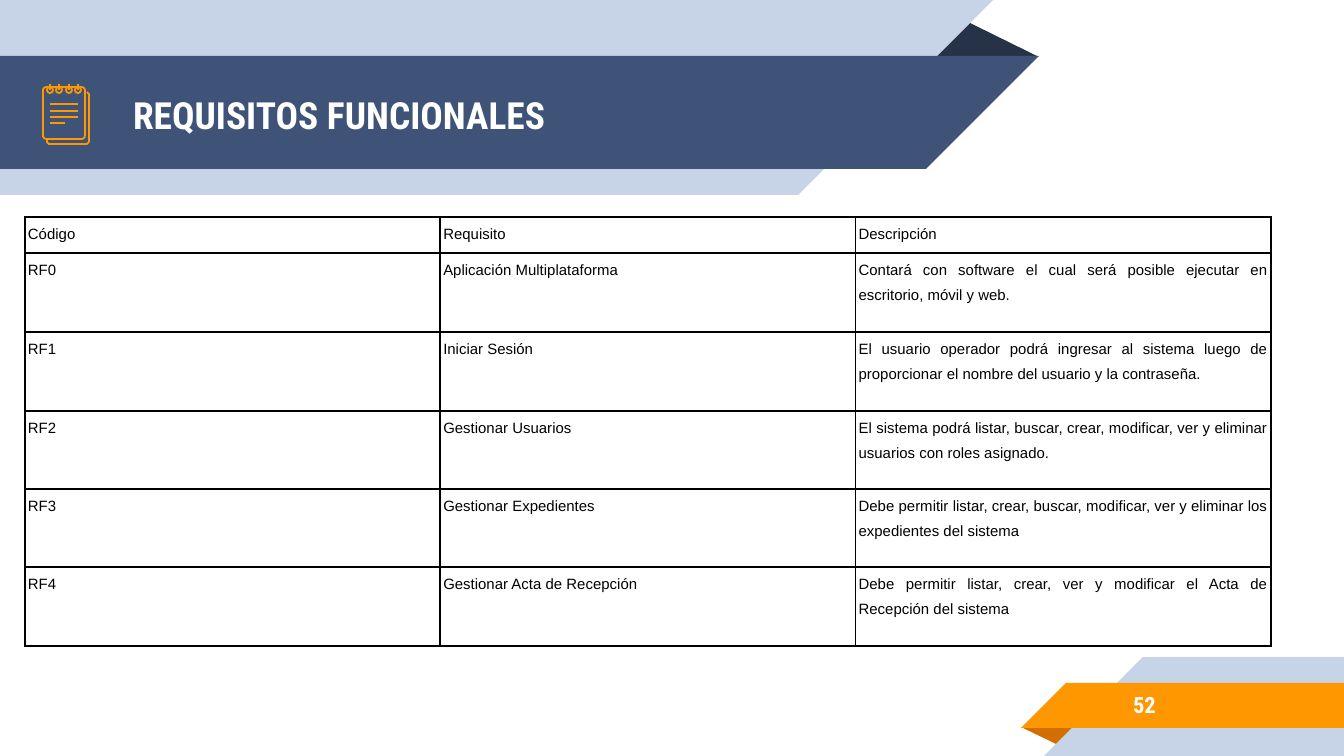
import pptx
import pptx.dml.color
import pptx.enum.shapes
import pptx.enum.text
import pptx.oxml
import pptx.oxml.ns
import pptx.util

PX = 9144000 / 1344  # EMU per px
RGB = pptx.dml.color.RGBColor
SHAPE = pptx.enum.shapes.MSO_SHAPE
ALIGN = pptx.enum.text.PP_ALIGN
ANCHOR = pptx.enum.text.MSO_ANCHOR

PALE_BLUE = RGB(0xC7, 0xD3, 0xE6)
BLUE = RGB(0x3F, 0x53, 0x78)
NAVY = RGB(0x26, 0x32, 0x48)
ORANGE = RGB(0xFF, 0x98, 0x00)
DARK_ORANGE = RGB(0xD2, 0x6F, 0x00)
WHITE = RGB(0xFF, 0xFF, 0xFF)
BLACK = RGB(0x00, 0x00, 0x00)
ICON_LINE = pptx.util.Pt(0.96)


def px(*lengths):
    return [round(length * PX) for length in lengths]


def write(frame, text, *, font, size, color, bold=False, align=ALIGN.LEFT,
          spacing=1.0, margins=(13, 13, 13, 13), anchor=ANCHOR.MIDDLE):
    frame.word_wrap = True
    frame.vertical_anchor = anchor
    (frame.margin_left, frame.margin_top,
     frame.margin_right, frame.margin_bottom) = px(*margins)
    frame.text = text
    paragraph = frame.paragraphs[0]
    paragraph.alignment = align
    paragraph.line_spacing = spacing
    paragraph.font.name = font
    paragraph.font.size = pptx.util.Pt(size)
    paragraph.font.bold = bold
    paragraph.font.color.rgb = color


presentation = pptx.Presentation()
presentation.slide_width, presentation.slide_height = px(1344, 756)
slide = presentation.slides.add_slide(presentation.slide_layouts[5])
shapes = slide.shapes

# Ribbons at the top left and bottom right, each with its fold behind
ribbons = [
    (SHAPE.ISOSCELES_TRIANGLE, (925, 19, 114, 38), 0, NAVY),
    (SHAPE.RECTANGLE, (0, 0, 798, 195), 0, PALE_BLUE),
    (SHAPE.RIGHT_TRIANGLE, (798, 0, 195, 195), 90, PALE_BLUE),
    (SHAPE.RECTANGLE, (0, 56, 926, 113), 0, BLUE),
    (SHAPE.RIGHT_TRIANGLE, (926, 56, 113, 113), 90, BLUE),
    (SHAPE.ISOSCELES_TRIANGLE, (1021, 727, 58, 19), 180, DARK_ORANGE),
    (SHAPE.RECTANGLE, (1143, 657, 201, 99), 0, PALE_BLUE),
    (SHAPE.RIGHT_TRIANGLE, (1044, 657, 99, 99), 270, PALE_BLUE),
    (SHAPE.RECTANGLE, (1066, 683, 278, 45), 0, ORANGE),
    (SHAPE.RIGHT_TRIANGLE, (1021, 683, 45, 45), 270, ORANGE),
]
for kind, box, turn, color in ribbons:
    ribbon = shapes.add_shape(kind, *px(*box))
    ribbon.rotation = turn
    ribbon.shadow.inherit = False
    ribbon.fill.solid()
    ribbon.fill.fore_color.rgb = color
    ribbon.line.fill.background()
    if kind == SHAPE.ISOSCELES_TRIANGLE:
        ribbon.adjustments[0] = 0.324

# Notepad icon: back page, front page and binding rings
back_page = shapes.build_freeform(47, 140, scale=PX)
back_page.add_line_segments(
    [(47, 142), (49, 144), (87, 144), (89, 142), (89, 94), (87, 92)], close=False)
front_page = shapes.add_shape(SHAPE.ROUNDED_RECTANGLE, *px(43, 87, 42, 52))
front_page.adjustments[0] = 0.08
ring_centers = [50, 59, 69, 78]
icon_outlines = [back_page.convert_to_shape(), front_page]
for x in ring_centers:
    icon_outlines.append(shapes.add_shape(SHAPE.OVAL, *px(x - 3, 87, 6, 6)))
for outline in icon_outlines:
    outline.shadow.inherit = False
    outline.fill.background()
    outline.line.color.rgb = ORANGE
    outline.line.width = ICON_LINE

# Notepad icon: written lines and binding wires
strokes = [(50, y, right, y) for y, right in [(104, 78), (111, 78), (117, 78), (123, 65)]]
strokes += [(x, 84, x, 90) for x in ring_centers]
for ends in strokes:
    stroke = shapes.add_connector(pptx.enum.shapes.MSO_CONNECTOR.STRAIGHT, *px(*ends))
    stroke.line.color.rgb = ORANGE
    stroke.line.width = ICON_LINE
    stroke._element.spPr.append(pptx.oxml.parse_xml(
        f"<a:effectLst {pptx.oxml.ns.nsdecls('a')}/>"))

# Title, brought in front of the ribbons, and page number
title = shapes.title
shapes._spTree.append(title._element)
title.left, title.top, title.width, title.height = px(120, 58, 773, 113)
write(title.text_frame, "REQUISITOS FUNCIONALES",
      font="Roboto Condensed", size=20, color=WHITE, bold=True)
page_number = shapes.add_textbox(*px(1120, 681, 219, 47))
write(page_number.text_frame, "52",
      font="Roboto Condensed", size=12, color=WHITE, bold=True)

# Requirements table
requirements = [
    ("Código", "Requisito", "Descripción"),
    ("RF0", "Aplicación Multiplataforma",
     "Contará con software el cual será posible ejecutar en escritorio, móvil y web."),
    ("RF1", "Iniciar Sesión",
     "El usuario operador podrá ingresar al sistema luego de proporcionar "
     "el nombre del usuario y la contraseña."),
    ("RF2", "Gestionar Usuarios",
     "El sistema podrá listar, buscar, crear, modificar, ver y eliminar "
     "usuarios con roles asignado."),
    ("RF3", "Gestionar Expedientes",
     "Debe permitir listar, crear, buscar, modificar, ver y eliminar los "
     "expedientes del sistema"),
    ("RF4", "Gestionar Acta de Recepción",
     "Debe permitir listar, crear, ver y modificar el Acta de Recepción del sistema"),
]
row_heights = [36, 79, 79, 78, 78, 79]
table = shapes.add_table(len(requirements), 3, *px(25, 217, 1246, sum(row_heights))).table
table.first_row = False
table.horz_banding = False
for column in table.columns:
    column.width = px(1246 / 3)[0]
for row, height, texts in zip(table.rows, row_heights, requirements):
    row.height = px(height)[0]
    for cell, text in zip(row.cells, texts):
        write(cell.text_frame, text, font="Arial", size=8, color=BLACK,
              align=ALIGN.JUSTIFY, spacing=1.5)
        cell.vertical_anchor = ANCHOR.TOP
        cell.margin_left, cell.margin_top, cell.margin_right, cell.margin_bottom = px(3, 0, 3, 0)
        for side in ("lnL", "lnR", "lnT", "lnB"):
            cell._tc.get_or_add_tcPr().append(pptx.oxml.parse_xml(
                f"<a:{side} {pptx.oxml.ns.nsdecls('a')} w='12700'><a:solidFill>"
                f"<a:srgbClr val='{BLACK}'/></a:solidFill></a:{side}>"))
        cell.fill.background()

presentation.save("out.pptx")
